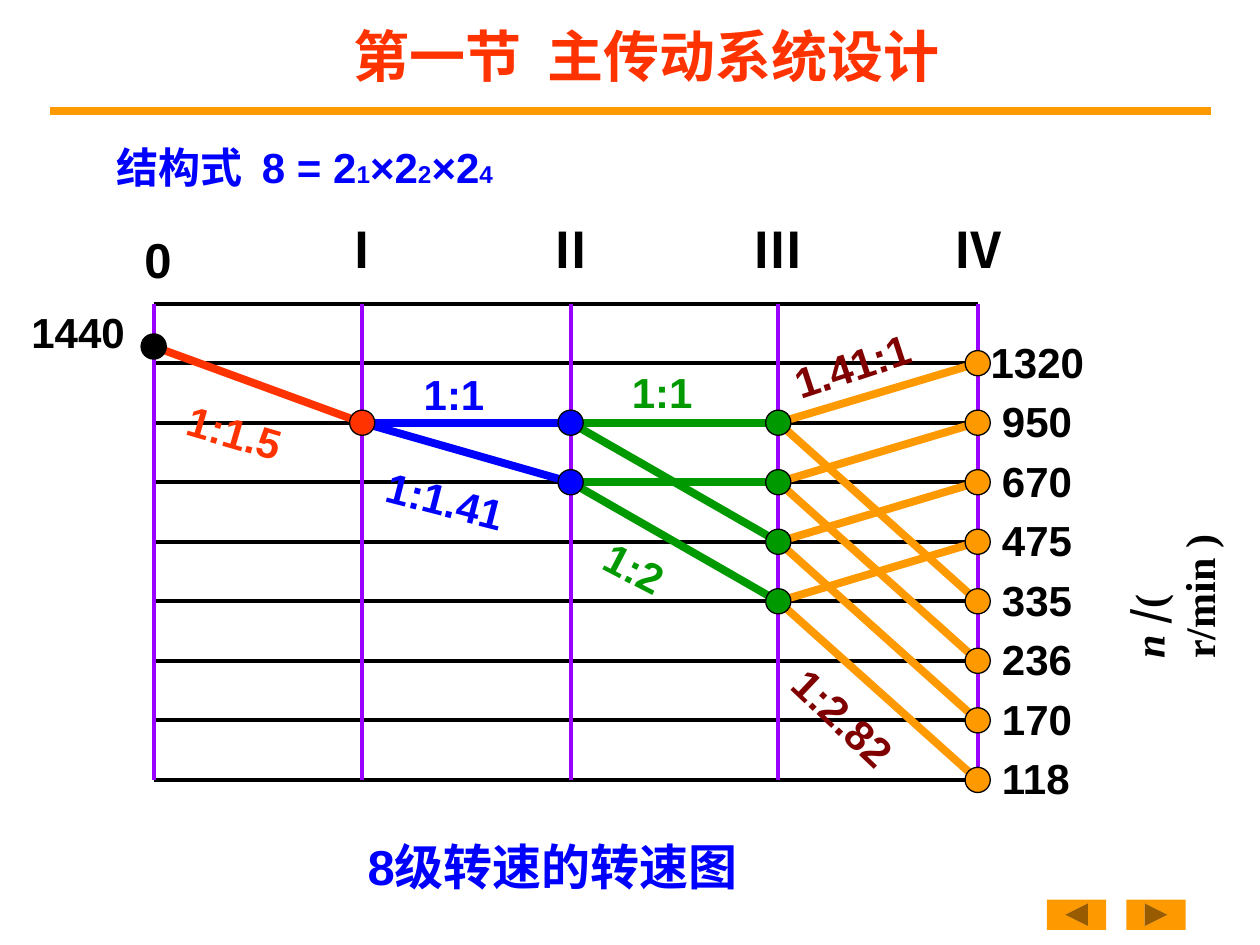
import collections

import lxml.etree
import pptx
import pptx.dml.color
import pptx.enum.shapes
import pptx.enum.text
import pptx.oxml.ns
import pptx.util

COLORS = {
    "ink": "000000", "axis": "9900FF", "red": "FF3300", "blue": "0000FF",
    "green": "009900", "orange": "FF9900", "maroon": "800000",
}
HAN_FONT = "Noto Sans CJK SC"
ALIGN = pptx.enum.text.PP_ALIGN
SHAPE = pptx.enum.shapes.MSO_SHAPE

# The slide is a grid of 100 columns by 75 rows, each a tenth of an inch.
Box = collections.namedtuple("Box", "col row cols rows")

AXIS_NAMES = ["0", "Ⅰ", "Ⅱ", "Ⅲ", "Ⅳ"]
AXIS_SHARES = [0, 0.253, 0.506, 0.758, 1]
SPEEDS = ["1320", "950", "670", "475", "335", "236", "170", "118"]
MOTOR_ROW, INPUT_ROW = 0.72, 2
# Row steps of the two rays leaving each node, one pair per gear stage
STAGES = [("blue", (0, 1)), ("green", (0, 2)), ("orange", (-1, 3))]
NODE_COLORS = ["ink", "red", "blue", "green", "orange"]
# Text, colour, axis and row of the centre, columns wide, rotation
RATIOS = [
    ("1:1.5", "red", 0.43, 2.2, 11, 16.3),
    ("1:1", "blue", 1.45, 1.52, 7.1, 0),
    ("1:1.41", "blue", 1.48, 3.37, 14.2, 14.4),
    ("1:1", "green", 2.45, 1.48, 7.1, 0),
    ("1:2", "green", 2.36, 4.53, 8.7, 27.4),
    ("1.41:1", "maroon", 3.43, 0.97, 13.4, -18.2),
    ("1:2.82", "maroon", 3.33, 6.96, 11.6, 43.6),
]


def grid(units):
    return pptx.util.Inches(units / 10)


def rgb(name):
    return pptx.dml.color.RGBColor.from_string(COLORS[name])


def write(frame, paragraphs, size=24, color="ink", font="Arial", align=ALIGN.LEFT,
          spacing=None, indents=()):
    """Fill a frame; each paragraph is a list of (text, overrides) runs."""
    frame.word_wrap = True
    frame.auto_size = pptx.enum.text.MSO_AUTO_SIZE.NONE
    frame.vertical_anchor = pptx.enum.text.MSO_ANCHOR.TOP
    for index, runs in enumerate(paragraphs):
        paragraph = frame.add_paragraph() if index else frame.paragraphs[0]
        paragraph.alignment = align
        if spacing:
            paragraph.line_spacing = spacing
        if indents:
            paragraph._p.get_or_add_pPr().set("marL", str(pptx.util.Inches(indents[index])))
        for text, style in runs:
            run = paragraph.add_run()
            run.text = text
            run.font.size = pptx.util.Pt(size)
            run.font.bold = True
            run.font.italic = style.get("italic", False)
            run.font.color.rgb = rgb(color)
            run.font.name = style.get("font", font)
            properties = run._r.get_or_add_rPr()
            lxml.etree.SubElement(properties, pptx.oxml.ns.qn("a:ea"), typeface=HAN_FONT)
            if "baseline" in style:
                properties.set("baseline", str(style["baseline"]))


def place(shape, box):
    shape.left, shape.top, shape.width, shape.height = map(grid, box)


def add_text(slide, box, paragraphs, rotation=0, **style):
    label = slide.shapes.add_textbox(*map(grid, box))
    label.rotation = rotation
    write(label.text_frame, paragraphs, **style)


def add_line(slide, start, end, color, width):
    line = slide.shapes.add_connector(
        pptx.enum.shapes.MSO_CONNECTOR.STRAIGHT, *map(grid, (*start, *end)))
    line.line.color.rgb = rgb(color)
    line.line.width = pptx.util.Pt(width)
    lxml.etree.SubElement(line._element.spPr, pptx.oxml.ns.qn("a:effectLst"))


def add_filled(slide, kind, box, color):
    shape = slide.shapes.add_shape(kind, *map(grid, box))
    shape.shadow.inherit = False
    shape.fill.solid()
    shape.fill.fore_color.rgb = rgb(color)
    return shape


def add_header(slide, box):
    title = slide.shapes.title
    place(title, Box(box.col + 8.2, box.row, 78.3, 6.4))
    write(title.text_frame, [[("第一节  主传动系统设计", {})]],
          size=32, color="red", font=HAN_FONT, align=ALIGN.CENTER)
    rule_row = box.row + box.rows
    add_line(slide, (box.col, rule_row), (box.col + box.cols, rule_row), "orange", 4.5)


def add_formula(slide, box):
    runs = [("结构式  8 = 2", {})]
    for subscript, following in (("1", "×2"), ("2", "×2"), ("4", "")):
        runs.append((subscript, {"baseline": -25}))
        if following:
            runs.append((following, {}))
    add_text(slide, box, [runs], color="blue", spacing=1.2)


def add_speed_diagram(slide, box):
    """Draw the shafts, the speed lines, the rays between nodes and all labels."""
    pitch = box.rows / len(SPEEDS)
    last = len(AXIS_SHARES) - 1

    def point(axis, row):
        left = min(max(int(axis), 0), last - 1)
        span = AXIS_SHARES[left + 1] - AXIS_SHARES[left]
        share = AXIS_SHARES[left] + (axis - left) * span
        return box.col + share * box.cols, box.row + row * pitch

    def centred(axis, row, cols, rows):
        x, y = point(axis, row)
        return Box(x - cols / 2, y - rows / 2, cols, rows)

    for row in range(len(SPEEDS) + 1):
        add_line(slide, point(0, row), point(last, row), "ink", 2.25)
    for axis in range(last + 1):
        add_line(slide, point(axis, 0), point(axis, len(SPEEDS)), "axis", 2.25)

    add_line(slide, point(0, MOTOR_ROW), point(1, INPUT_ROW), "red", 4.5)
    node_rows = [[MOTOR_ROW], [INPUT_ROW]]
    for axis, (color, steps) in enumerate(STAGES, start=1):
        rays = [(row, row + step) for row in node_rows[axis] for step in steps]
        for start, end in rays:
            add_line(slide, point(axis, start), point(axis + 1, end), color, 4.5)
        node_rows.append(sorted(end for _, end in rays))

    for axis, rows in enumerate(node_rows):
        for row in rows:
            node = add_filled(slide, SHAPE.OVAL, centred(axis, row, 2, 2), NODE_COLORS[axis])
            node.line.color.rgb = rgb("ink")
            node.line.width = pptx.util.Pt(0.75)

    for axis, name in enumerate(AXIS_NAMES):
        offset, row, font = (0, -0.92, HAN_FONT) if axis else (0.02, -0.75, "Arial")
        add_text(slide, centred(axis + offset, row, 6.3, 5.7), [[(name, {})]],
                 size=28, font=font, align=ALIGN.CENTER)
    for text, color, axis, row, cols, rotation in RATIOS:
        add_text(slide, centred(axis, row, cols, 5), [[(text, {})]],
                 rotation=rotation, color=color)

    add_text(slide, centred(-0.35, 0.47, 9.8, 5), [[("1440", {})]])
    add_text(slide, centred(last + 0.35, 4.4, 11, 38.8), [[(speed, {})] for speed in SPEEDS],
             spacing=pptx.util.Pt(34), indents=[0] + [0.09] * (len(SPEEDS) - 1))
    add_text(slide, centred(last + 0.98, 4.3, 17.7, 9),
             [[("n ", {"italic": True}), ("/", {"font": HAN_FONT}), ("( r/min )", {})]],
             rotation=270, font="Times New Roman")


def add_navigation(slide, box):
    width = 4.7
    kinds = (SHAPE.ACTION_BUTTON_BACK_OR_PREVIOUS, SHAPE.ACTION_BUTTON_FORWARD_OR_NEXT)
    for kind, col in zip(kinds, (box.col, box.col + box.cols - width)):
        button = add_filled(slide, kind, Box(col, box.row, width, box.rows), "orange")
        button.line.fill.background()


def main():
    deck = pptx.Presentation()
    deck.slide_width, deck.slide_height = grid(100), grid(75)
    slide = deck.slides.add_slide(deck.slide_layouts[5])
    add_header(slide, Box(4, 1.2, 92.1, 7.6))
    add_formula(slide, Box(8.3, 9.9, 43.3, 6.5))
    add_speed_diagram(slide, Box(12.2, 24.1, 65.4, 37.8))
    add_text(slide, Box(28.2, 65.9, 47.7, 5.7), [[("8级转速的转速图", {})]],
             size=28, color="blue")
    add_navigation(slide, Box(83.1, 71.4, 11, 2.4))
    deck.save("out.pptx")


if __name__ == "__main__":
    main()
